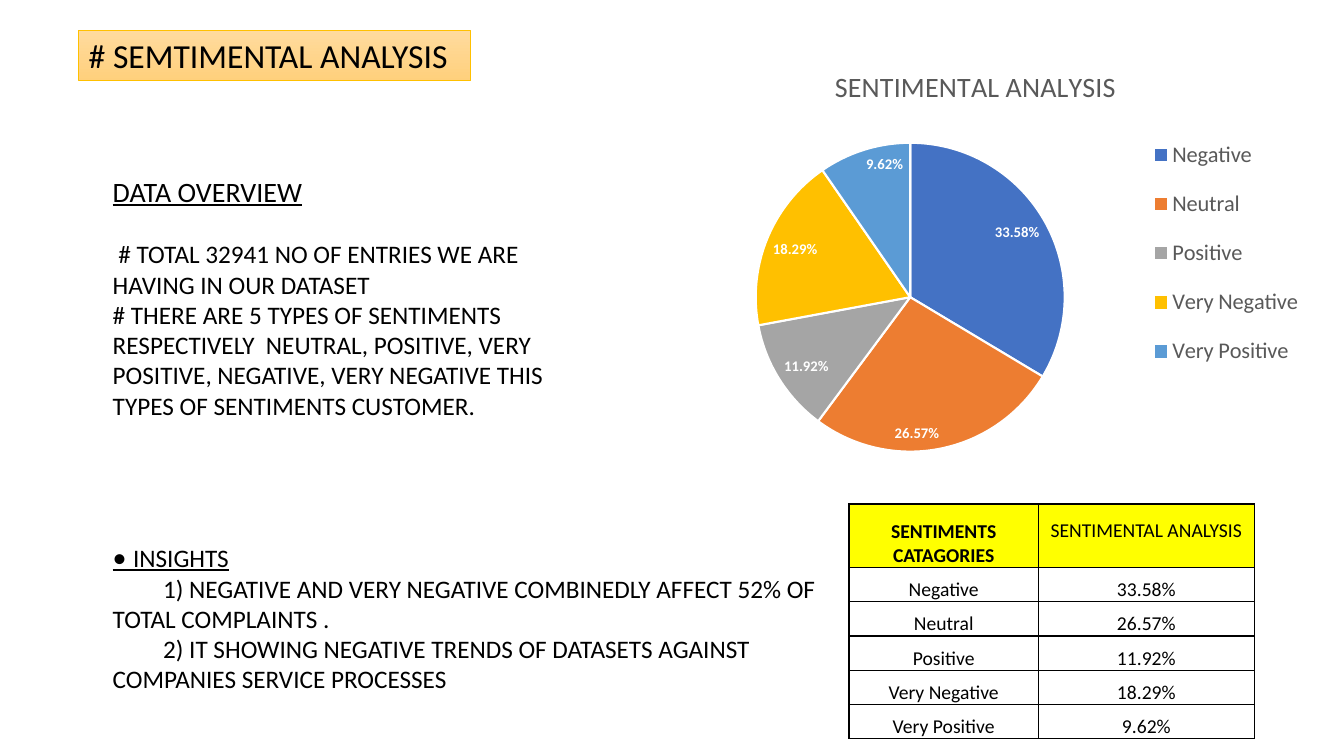
from dataclasses import dataclass

from lxml.etree import SubElement
from pptx import Presentation
from pptx.chart.data import CategoryChartData
from pptx.dml.color import RGBColor
from pptx.enum.chart import XL_CHART_TYPE, XL_LABEL_POSITION, XL_LEGEND_POSITION
from pptx.enum.text import MSO_ANCHOR, MSO_AUTO_SIZE, PP_ALIGN
from pptx.oxml.ns import qn
from pptx.util import Inches, Pt


@dataclass(frozen=True)
class Theme:
    font: str = "Calibri"
    black: str = "000000"
    white: str = "FFFFFF"
    gray: str = "595959"
    header: str = "FFFF00"
    title_line: str = "FFC000"
    title_stops: tuple = ("FFDB9E", "FFD07C")
    slices: tuple = ("4472C4", "ED7D31", "A5A5A5", "FFC000", "5B9BD5")
    title_size: float = 24
    heading_size: float = 20
    body_size: float = 18
    legend_size: float = 16
    table_size: float = 14
    label_size: float = 10.5


THEME = Theme()
SENTIMENTS = {
    "Negative": 0.3358,
    "Neutral": 0.2657,
    "Positive": 0.1192,
    "Very Negative": 0.1829,
    "Very Positive": 0.0962,
}
OVERVIEW = [
    " # TOTAL 32941 NO OF ENTRIES WE ARE HAVING IN OUR DATASET",
    "# THERE ARE 5 TYPES OF SENTIMENTS RESPECTIVELY  NEUTRAL, POSITIVE, VERY POSITIVE, "
    "NEGATIVE, VERY NEGATIVE THIS TYPES OF SENTIMENTS CUSTOMER.",
]
INSIGHTS = [
    "\t1) NEGATIVE AND VERY NEGATIVE COMBINEDLY AFFECT 52% OF TOTAL COMPLAINTS .",
    "\t2) IT SHOWING NEGATIVE TRENDS OF DATASETS AGAINST COMPANIES SERVICE PROCESSES",
]


def set_attributes(target, values):
    for name, value in values.items():
        setattr(target, name, value)


def format_font(font, size, color=THEME.black, bold=False, underline=False):
    set_attributes(font, {"name": THEME.font, "size": Pt(size), "bold": bold,
                          "underline": underline})
    font.color.rgb = RGBColor.from_string(color)


def add_run(paragraph, text, size, **style):
    run = paragraph.add_run()
    run.text = text
    format_font(run.font, size, **style)


def add_title(slide, box, text):
    title = slide.shapes.title
    left, top, width, height = map(Inches, box)
    set_attributes(title, {"left": left, "top": top, "width": width, "height": height})
    title.fill.gradient()
    title.fill.gradient_angle = 270
    for stop, color in zip(title.fill.gradient_stops, THEME.title_stops):
        stop.color.rgb = RGBColor.from_string(color)
    title.line.color.rgb = RGBColor.from_string(THEME.title_line)
    title.line.width = Pt(0.5)
    frame = title.text_frame
    set_attributes(frame, {"word_wrap": True, "auto_size": MSO_AUTO_SIZE.NONE,
                           "vertical_anchor": MSO_ANCHOR.TOP})
    paragraph = frame.paragraphs[0]
    set_attributes(paragraph, {"alignment": PP_ALIGN.LEFT, "line_spacing": 1.0})
    add_run(paragraph, text, THEME.title_size)


def add_notes_block(slide, box, heading_runs, lines, heading_gap=0):
    frame = slide.shapes.add_textbox(*map(Inches, box)).text_frame
    frame.word_wrap = True
    heading = frame.paragraphs[0]
    heading.space_after = Pt(heading_gap)
    for text, size in heading_runs:
        add_run(heading, text, size, underline=True)
    for line in lines:
        add_run(frame.add_paragraph(), line, THEME.body_size)


def set_layout(parent, following, inner, **fractions):
    """Place a chart part by fractions of the chart area."""
    for old in parent.findall(qn("c:layout")):
        parent.remove(old)
    layout = SubElement(parent, qn("c:layout"))
    manual = SubElement(layout, qn("c:manualLayout"))
    if inner:
        SubElement(manual, qn("c:layoutTarget")).set("val", "inner")
    for axis in "xy":
        SubElement(manual, qn(f"c:{axis}Mode")).set("val", "edge")
    for name, value in fractions.items():
        SubElement(manual, qn(f"c:{name}")).set("val", str(value))
    parent.find(qn(following)).addprevious(layout)


def add_pie(slide, box, title):
    data = CategoryChartData(number_format="0.00%")
    data.categories = list(SENTIMENTS)
    data.add_series("Series 1", list(SENTIMENTS.values()))
    chart = slide.shapes.add_chart(XL_CHART_TYPE.PIE, *map(Inches, box), data).chart
    format_font(chart.font, 10)

    # Title and legend
    chart.has_title = True
    add_run(chart.chart_title.text_frame.paragraphs[0], title,
            THEME.heading_size, color=THEME.gray)
    chart.has_legend = True
    set_attributes(chart.legend, {"position": XL_LEGEND_POSITION.RIGHT,
                                  "include_in_layout": False})
    format_font(chart.legend.font, THEME.legend_size, color=THEME.gray)

    # Slices and labels
    plot = chart.plots[0]
    plot.vary_by_categories = True
    for index, color in enumerate(THEME.slices):
        slice_format = plot.series[0].points[index].format
        slice_format.fill.solid()
        slice_format.fill.fore_color.rgb = RGBColor.from_string(color)
        slice_format.line.color.rgb = RGBColor.from_string(THEME.white)
        slice_format.line.width = Pt(1.5)
    plot.has_data_labels = True
    labels = plot.data_labels
    set_attributes(labels, {"show_value": True, "show_percentage": False,
                            "number_format": "0.00%", "number_format_is_linked": False,
                            "position": XL_LABEL_POSITION.INSIDE_END})
    format_font(labels.font, THEME.label_size, color=THEME.white, bold=True)

    # Positions within the chart
    plot_area = chart.element.find(f".//{qn('c:plotArea')}")
    set_layout(plot_area, "c:pieChart", True, x=0.18, y=0.22, w=0.45, h=0.75)
    legend = chart.element.find(f".//{qn('c:legend')}")
    set_layout(legend, "c:overlay", False, x=0.74, y=0.17, w=0.25, h=0.64)


def add_borders(cell):
    properties = cell._tc.get_or_add_tcPr()
    for side in ("lnL", "lnR", "lnT", "lnB"):
        line = SubElement(properties, qn(f"a:{side}"), w=str(Pt(1)))
        fill = SubElement(line, qn("a:solidFill"))
        SubElement(fill, qn("a:srgbClr"), val=THEME.black)


def add_table(slide, box, headers):
    rows = [headers] + [(name, f"{share:.2%}") for name, share in SENTIMENTS.items()]
    table = slide.shapes.add_table(len(rows), 2, *map(Inches, box)).table
    set_attributes(table, {"first_row": False, "horz_banding": False})
    for column, width in zip(table.columns, (1.88, 2.14)):
        column.width = Inches(width)
    for row_index, values in enumerate(rows):
        is_header = row_index == 0
        table.rows[row_index].height = Inches(0.63 if is_header else 0.34)
        for column_index, text in enumerate(values):
            cell = table.cell(row_index, column_index)
            add_borders(cell)
            set_attributes(cell, {"vertical_anchor": MSO_ANCHOR.BOTTOM,
                                  "margin_left": Inches(0.01), "margin_right": Inches(0.01),
                                  "margin_top": Inches(0.01), "margin_bottom": 0})
            if is_header:
                cell.fill.solid()
                cell.fill.fore_color.rgb = RGBColor.from_string(THEME.header)
            else:
                cell.fill.background()
            paragraph = cell.text_frame.paragraphs[0]
            paragraph.alignment = PP_ALIGN.CENTER
            add_run(paragraph, text, THEME.table_size, bold=is_header and column_index == 0)
    # The one-line header lines up with the first line of its neighbour
    set_attributes(table.cell(0, 1), {"vertical_anchor": MSO_ANCHOR.TOP,
                                      "margin_top": Inches(0.15)})


def build_sentiment_slide(presentation):
    slide = presentation.slides.add_slide(presentation.slide_layouts[5])
    add_pie(slide, (6.27, 0.48, 6.81, 4.15), "SENTIMENTAL ANALYSIS")
    add_table(slide, (8.42, 5, 4.02, 2.33), ("SENTIMENTS CATAGORIES", "SENTIMENTAL ANALYSIS"))
    add_notes_block(slide, (1.02, 5.3, 7.3, 1.65),
                    [("• ", THEME.heading_size), ("INSIGHTS", THEME.body_size)], INSIGHTS)
    add_notes_block(slide, (1.02, 1.68, 4.8, 3.47),
                    [("DATA OVERVIEW", THEME.heading_size)], OVERVIEW, heading_gap=22)
    add_title(slide, (0.78, 0.3, 3.89, 0.5), "# SEMTIMENTAL ANALYSIS")


def main():
    presentation = Presentation()
    set_attributes(presentation, {"slide_width": Inches(13.33), "slide_height": Inches(7.5)})
    build_sentiment_slide(presentation)
    presentation.save("out.pptx")


if __name__ == "__main__":
    main()
